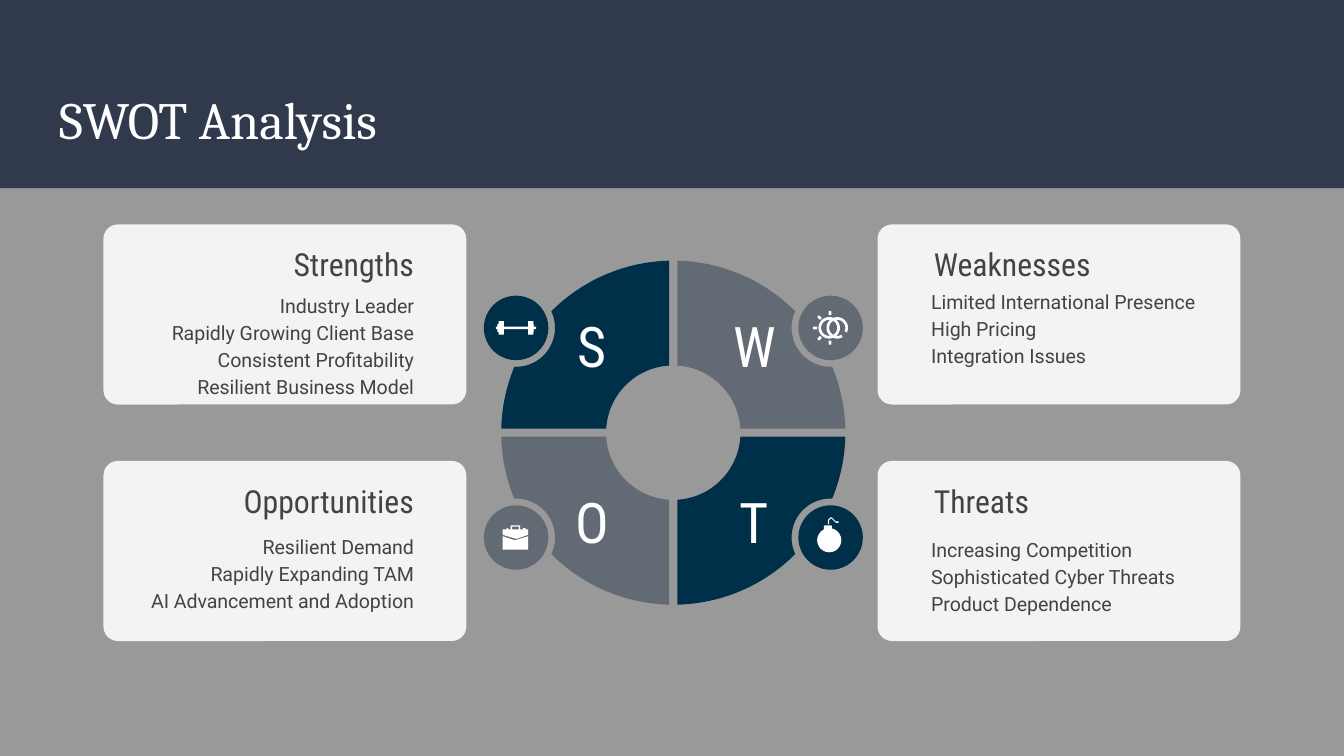
from collections import namedtuple
from math import acos, asin, atan2, cos, degrees, hypot, radians, sin

from pptx import Presentation
from pptx.dml.color import RGBColor
from pptx.enum.shapes import MSO_SHAPE
from pptx.enum.text import MSO_ANCHOR, MSO_AUTO_SIZE, PP_ALIGN
from pptx.util import Inches, Pt

SLATE = RGBColor(0x31, 0x39, 0x4D)
GREY = RGBColor(0x99, 0x99, 0x99)
NAVY = RGBColor(0x00, 0x2F, 0x4A)
STEEL = RGBColor(0x62, 0x6B, 0x73)
CARD = RGBColor(0xF3, 0xF3, 0xF3)
INK = RGBColor(0x43, 0x43, 0x43)
WHITE = RGBColor(0xFF, 0xFF, 0xFF)

CENTER_X, CENTER_Y = 5.01, 3.22
OUTER, INNER, HALF_GAP = 1.28, 0.5, 0.03
BADGE_X, BADGE_Y, BADGE, NOTCH = 1.17, 0.78, 0.24, 0.29

Quadrant = namedtuple("Quadrant", "letter heading items side level color body_top")
QUADRANTS = [
    Quadrant("S", "Strengths",
             ["Industry Leader", "Rapidly Growing Client Base",
              "Consistent Profitability", "Resilient Business Model"],
             -1, -1, NAVY, 2.11),
    Quadrant("W", "Weaknesses",
             ["Limited International Presence", "High Pricing", "Integration Issues"],
             1, -1, STEEL, 1.98),
    Quadrant("O", "Opportunities",
             ["Resilient Demand", "Rapidly Expanding TAM", "AI Advancement and Adoption"],
             -1, 1, STEEL, 3.8),
    Quadrant("T", "Threats",
             ["Increasing Competition", "Sophisticated Cyber Threats", "Product Dependence"],
             1, 1, NAVY, 3.82),
]


def paint(shape, color):
    """Give a shape a flat fill with no line or shadow."""
    shape.fill.solid()
    shape.fill.fore_color.rgb = color
    shape.line.fill.background()
    shape.shadow.inherit = False
    return shape


def add_preset(shapes, kind, left, top, width, height, color):
    """Add a flat preset shape."""
    box = shapes.add_shape(kind, Inches(left), Inches(top), Inches(width), Inches(height))
    return paint(box, color)


def add_outline(shapes, color, *contours):
    """Add a flat freeform made of closed contours given in inches."""
    scaled = [[(Inches(x), Inches(y)) for x, y in contour] for contour in contours]
    builder = shapes.build_freeform(*scaled[0][0], scale=1.0)
    builder.add_line_segments(scaled[0][1:], close=True)
    for contour in scaled[1:]:
        builder.move_to(*contour[0])
        builder.add_line_segments(contour[1:], close=True)
    return paint(builder.convert_to_shape(), color)


def arc(x, y, radius, start, end, steps=32):
    """Return points along an arc, with angles in degrees."""
    angles = [radians(start + (end - start) * step / steps) for step in range(steps + 1)]
    return [(x + radius * cos(angle), y + radius * sin(angle)) for angle in angles]


def write(frame, lines, font, size, color, align, spacing=1.0):
    """Fill a text frame with evenly formatted paragraphs."""
    frame.word_wrap = True
    frame.auto_size = MSO_AUTO_SIZE.NONE
    frame.vertical_anchor = MSO_ANCHOR.MIDDLE
    frame.margin_left = frame.margin_right = Inches(0.1)
    frame.margin_top = frame.margin_bottom = Inches(0.1)
    for index, line in enumerate(lines):
        para = frame.paragraphs[0] if index == 0 else frame.add_paragraph()
        para.text = line
        para.alignment = align
        para.line_spacing = spacing
        para.space_before = Pt(0)
        para.font.name = font
        para.font.size = Pt(size)
        para.font.color.rgb = color


def add_text(shapes, left, top, width, height, *style):
    """Add a text box."""
    box = shapes.add_textbox(Inches(left), Inches(top), Inches(width), Inches(height))
    write(box.text_frame, *style)


def wedge_points():
    """Return a notched ring quarter around the origin."""
    reach = hypot(BADGE_X, BADGE_Y)
    aim = degrees(atan2(BADGE_Y, BADGE_X))
    spread = degrees(acos((OUTER**2 + reach**2 - NOTCH**2) / (2 * OUTER * reach)))
    turn = degrees(acos((NOTCH**2 + reach**2 - OUTER**2) / (2 * NOTCH * reach)))
    rim = degrees(asin(HALF_GAP / OUTER))
    hub = degrees(asin(HALF_GAP / INNER))
    return (arc(0, 0, OUTER, rim, aim - spread)
            + arc(BADGE_X, BADGE_Y, NOTCH, aim + 180 + turn, aim + 180 - turn)
            + arc(0, 0, OUTER, aim + spread, 90 - rim)
            + arc(0, 0, INNER, 90 - hub, hub))


def add_quadrant(shapes, quadrant):
    """Add one wheel quarter with its badge, card and texts."""
    side, level, color = quadrant.side, quadrant.level, quadrant.color
    right = side > 0
    wedge = add_outline(shapes, color, [(CENTER_X + side * x, CENTER_Y + level * y)
                                        for x, y in wedge_points()])
    write(wedge.text_frame, [quadrant.letter], "Roboto Condensed", 30, WHITE, PP_ALIGN.CENTER)
    if right:
        wedge.text_frame.margin_right = Inches(0.2)
    else:
        wedge.text_frame.margin_left = Inches(0.2)
    add_preset(shapes, MSO_SHAPE.OVAL, CENTER_X + side * BADGE_X - BADGE,
               CENTER_Y + level * BADGE_Y - BADGE, 2 * BADGE, 2 * BADGE, color)

    card_top = 3.43 if level > 0 else 1.67
    card = add_preset(shapes, MSO_SHAPE.ROUNDED_RECTANGLE, 6.53 if right else 0.77,
                      card_top, 2.7, 1.34, CARD)
    card.adjustments[0] = 0.08
    align = PP_ALIGN.LEFT if right else PP_ALIGN.RIGHT
    add_text(shapes, 6.85 if right else 1.12, card_top + 0.06, 2.06, 0.47,
             [quadrant.heading], "Roboto Condensed", 17, INK, align)
    add_text(shapes, 6.83 if right else 1, quadrant.body_top, 2.18, 0.91,
             quadrant.items, "Roboto", 10.5, INK, align, 1.15)


def add_dumbbell(shapes):
    """Draw the strengths icon."""
    for left, top, width, height in [(3.69, 2.43, 0.3, 0.02),
                                     (3.71, 2.39, 0.04, 0.1), (3.93, 2.39, 0.04, 0.1),
                                     (3.7, 2.41, 0.02, 0.06), (3.95, 2.41, 0.02, 0.06)]:
        add_preset(shapes, MSO_SHAPE.RECTANGLE, left, top, width, height, WHITE)


def add_linked_rings(shapes):
    """Draw the weaknesses icon."""
    for x, start, end in [(6.17, 0, 360), (6.23, 60, 385)]:
        add_outline(shapes, WHITE,
                    arc(x, 2.44, 0.08, start, end) + arc(x, 2.44, 0.06, end, start))
    for angle in range(90, 271, 45):
        x, y = 6.17 + 0.11 * cos(radians(angle)), 2.44 + 0.11 * sin(radians(angle))
        ray = add_preset(shapes, MSO_SHAPE.ROUNDED_RECTANGLE, x - 0.01, y - 0.01,
                         0.03, 0.02, WHITE)
        ray.rotation = angle


def add_briefcase(shapes):
    """Draw the opportunities icon."""
    lid = [(3.74, 3.94), (3.77, 3.94), (3.77, 3.93), (3.78, 3.93), (3.78, 3.94),
           (3.8, 3.94), (3.8, 3.91), (3.87, 3.91), (3.87, 3.94), (3.89, 3.94),
           (3.89, 3.93), (3.91, 3.93), (3.91, 3.94), (3.93, 3.94), (3.93, 3.98),
           (3.84, 4.01), (3.74, 3.98)]
    add_outline(shapes, WHITE, lid, [(3.81, 3.92), (3.81, 3.94), (3.86, 3.94), (3.86, 3.92)])
    add_outline(shapes, WHITE, [(3.74, 3.99), (3.83, 4.02), (3.93, 3.99),
                                (3.93, 4.09), (3.74, 4.09)])


def add_bomb(shapes):
    """Draw the threats icon."""
    add_preset(shapes, MSO_SHAPE.OVAL, 6.08, 3.93, 0.18, 0.18, WHITE)
    add_preset(shapes, MSO_SHAPE.ROUND_2_SAME_RECTANGLE, 6.13, 3.91, 0.06, 0.04, WHITE)
    add_outline(shapes, WHITE, [(6.16, 3.9), (6.16, 3.87), (6.18, 3.85), (6.19, 3.85),
                                (6.21, 3.87), (6.22, 3.88), (6.24, 3.88), (6.24, 3.89),
                                (6.22, 3.89), (6.2, 3.87), (6.19, 3.86), (6.18, 3.86),
                                (6.17, 3.87), (6.17, 3.9)])


def add_header(page):
    """Add the band and format the title on it."""
    title = page.shapes.title
    title.left, title.top = Inches(0.34), Inches(0.55)
    title.width, title.height = Inches(9.32), Inches(0.68)
    write(title.text_frame, ["SWOT Analysis"], "Cambria", 28, WHITE, PP_ALIGN.LEFT)
    title.text_frame.vertical_anchor = MSO_ANCHOR.TOP
    band = add_preset(page.shapes, MSO_SHAPE.RECTANGLE, 0, 0, 10, 1.4, SLATE)
    title._element.addprevious(band._element)


def main():
    """Build and save the deck."""
    deck = Presentation()
    deck.slide_width, deck.slide_height = Inches(10), Inches(10) * 9 // 16
    page = deck.slides.add_slide(deck.slide_layouts[5])
    page.background.fill.solid()
    page.background.fill.fore_color.rgb = GREY
    add_header(page)
    icons = [add_dumbbell, add_linked_rings, add_briefcase, add_bomb]
    for quadrant, add_icon in zip(QUADRANTS, icons):
        add_quadrant(page.shapes.add_group_shape().shapes, quadrant)
        add_icon(page.shapes.add_group_shape().shapes)
    deck.save("out.pptx")


if __name__ == "__main__":
    main()
